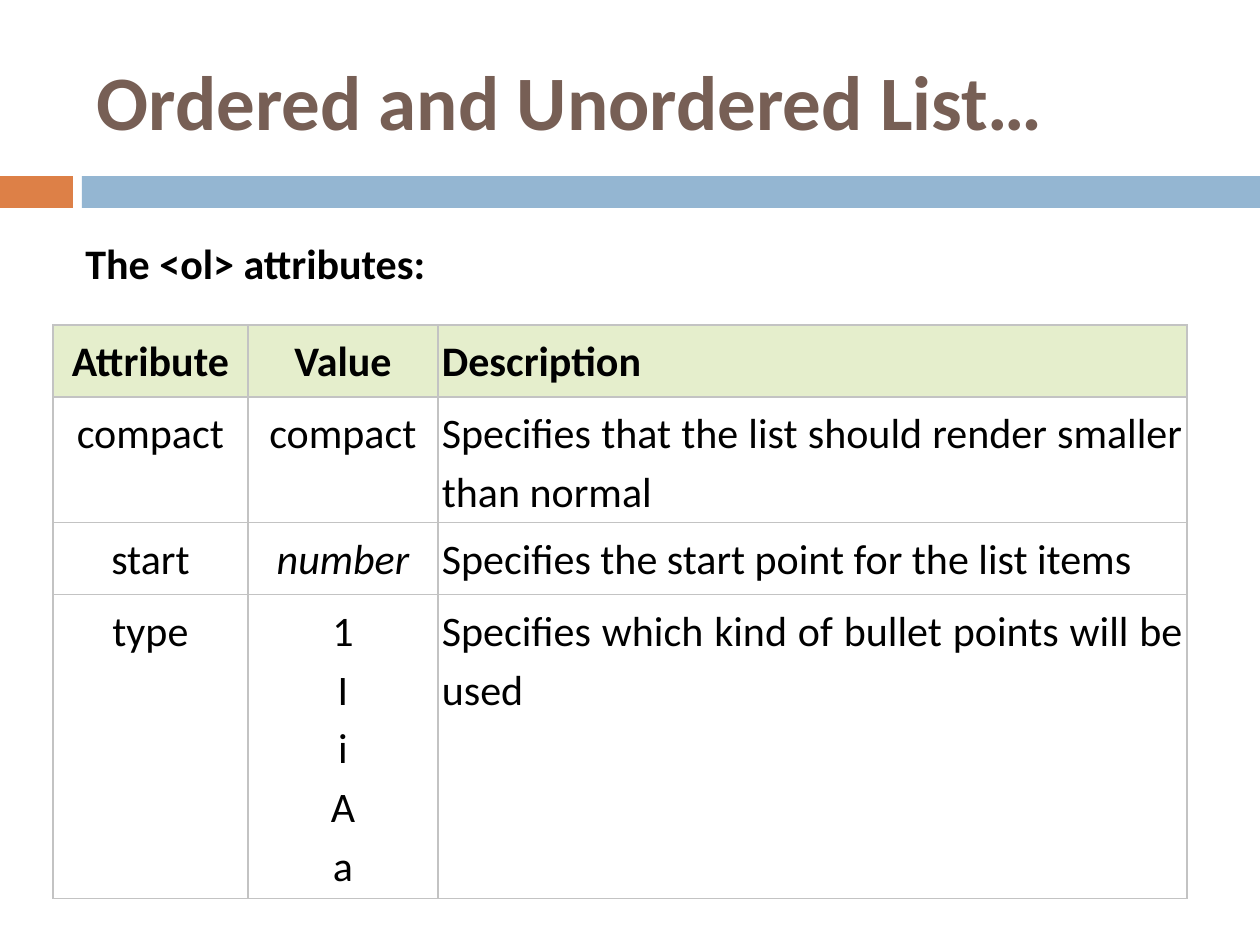
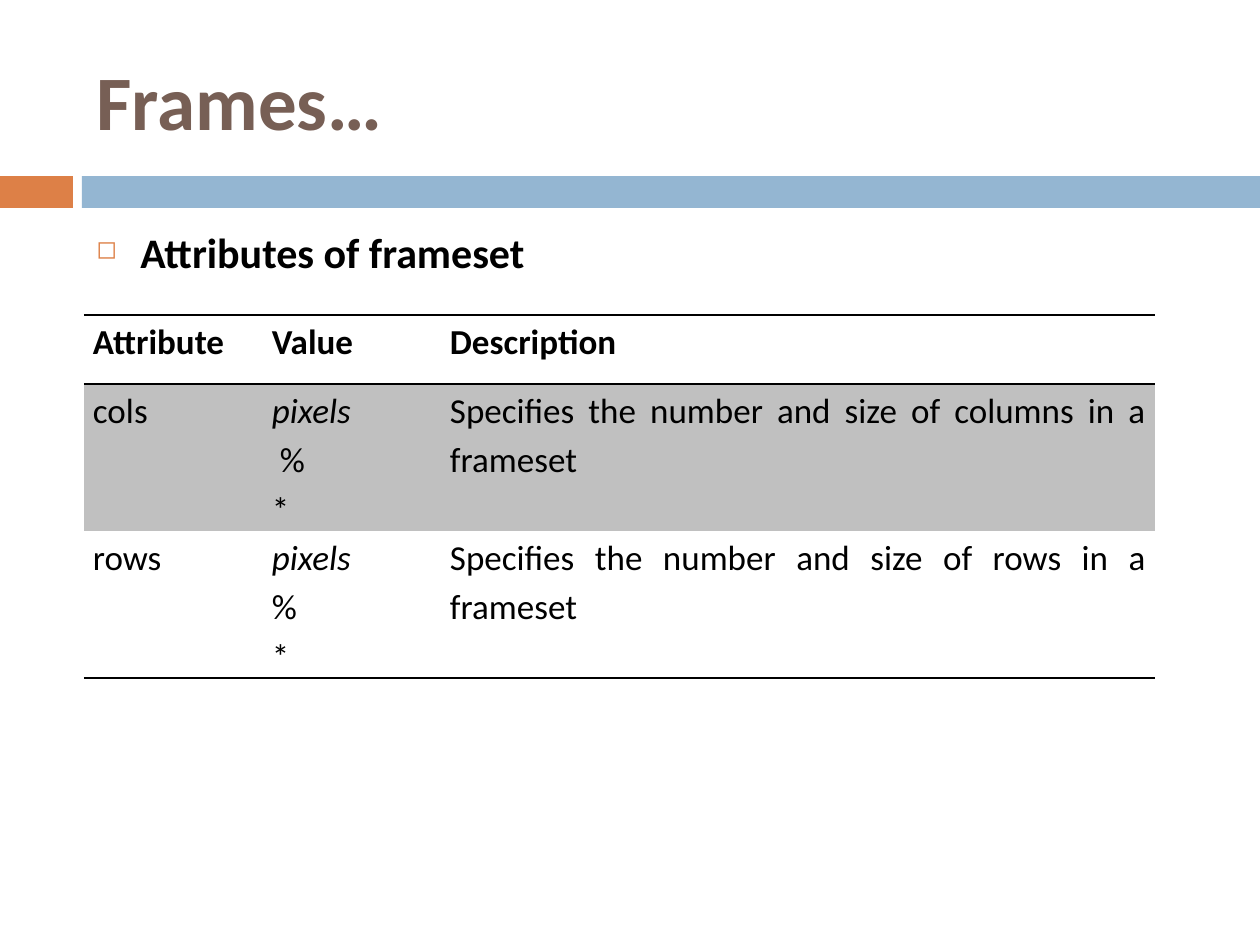
from lxml.etree import SubElement
from pptx import Presentation
from pptx.dml.color import RGBColor
from pptx.enum.shapes import MSO_SHAPE
from pptx.enum.text import MSO_ANCHOR, PP_ALIGN
from pptx.oxml.ns import qn
from pptx.util import Emu, Pt

FONT = "Calibri"
ORANGE = RGBColor(0xDD, 0x80, 0x47)
BLUE = RGBColor(0x94, 0xB6, 0xD2)
BROWN = RGBColor(0x77, 0x5F, 0x55)
BLACK = RGBColor(0, 0, 0)
LIGHT_GREEN = RGBColor(0xE5, 0xEE, 0xCC)
LIGHT_GREY = RGBColor(0xC3, 0xC3, 0xC3)
SILVER = RGBColor(0xC0, 0xC0, 0xC0)

PAGE_WIDTH, PAGE_HEIGHT = 1260, 945
BAND_TOP, BAND_HEIGHT = 176, 32
BANDS = ((0, 73, ORANGE), (82, PAGE_WIDTH - 82, BLUE))
TITLE_BOX = (84, 32, 1124, 136)
ITALIC_WORDS = {"number", "pixels"}
HEADINGS = ("Attribute", "Value", "Description")
EDGES = "LRTB"

LIST_ROWS = (
    HEADINGS,
    ("compact", "compact", "Specifies that the list should render smaller than normal"),
    ("start", "number", "Specifies the start point for the list items"),
    ("type", ("1\nI\ni", "A\na"), "Specifies which kind of bullet points will be used"),
)
FRAMESET_ROWS = (
    HEADINGS,
    ("cols", ("pixels", " %", "*"), "Specifies the number and size of columns in a frameset"),
    ("rows", ("pixels", "%", "*"), "Specifies the number and size of rows in a frameset"),
)


def px(length):
    """Turn pixels into EMU at 126 pixels to the inch."""
    return Emu(round(length * 914400 / 126))


def place(box):
    """Turn a pixel box into EMU lengths."""
    return [px(length) for length in box]


def format_para(para, size, color=BLACK, bold=False, italic=False):
    """Give every run of a paragraph the same look."""
    for span in para.runs:
        span.font.name = FONT
        span.font.size = Pt(size)
        span.font.bold = bold
        span.font.italic = italic
        span.font.color.rgb = color


def add_page(deck, title):
    """Add a page with the shared title style and bands."""
    page = deck.slides.add_slide(deck.slide_layouts[5])
    for left, width, color in BANDS:
        band = page.shapes.add_shape(
            MSO_SHAPE.RECTANGLE, *place((left, BAND_TOP, width, BAND_HEIGHT)))
        band.shadow.inherit = False
        band.fill.solid()
        band.fill.fore_color.rgb = color
        band.line.fill.background()
    heading = page.shapes.title
    heading.left, heading.top, heading.width, heading.height = place(TITLE_BOX)
    frame = heading.text_frame
    frame.text = title
    frame.vertical_anchor = MSO_ANCHOR.MIDDLE
    frame.paragraphs[0].alignment = PP_ALIGN.LEFT
    format_para(frame.paragraphs[0], 44, BROWN, bold=True)
    return page


def add_subheading(page, box, text, anchor):
    """Add a bold line above a table and return its paragraph."""
    frame = page.shapes.add_textbox(*place(box)).text_frame
    frame.word_wrap = True
    frame.vertical_anchor = anchor
    frame.text = text
    format_para(frame.paragraphs[0], 24, bold=True)
    return frame.paragraphs[0]


def add_bullet(para):
    """Give a paragraph a small orange square bullet with a hanging indent."""
    para.space_before = Pt(7)
    props = para._p.get_or_add_pPr()
    props.set("marL", str(px(44)))
    props.set("indent", str(-px(44)))
    color = SubElement(props, qn("a:buClr"))
    SubElement(color, qn("a:srgbClr"), val=str(ORANGE))
    SubElement(props, qn("a:buSzPct"), val="60000")
    SubElement(props, qn("a:buChar"), char="◻")


def set_borders(cell, edges, color):
    """Draw one-point borders on the named edges and clear the others."""
    props = cell._tc.get_or_add_tcPr()
    for edge in EDGES:
        line = SubElement(props, qn(f"a:ln{edge}"), w=str(Pt(1)))
        if edge in edges:
            fill = SubElement(line, qn("a:solidFill"))
            SubElement(fill, qn("a:srgbClr"), val=str(color))
        else:
            SubElement(line, qn("a:noFill"))


def fill_cell(cell, content, size, alignment, bold):
    """Write one paragraph, or several, into a cell."""
    frame = cell.text_frame
    texts = (content,) if isinstance(content, str) else content
    for index, text in enumerate(texts):
        para = frame.add_paragraph() if index else frame.paragraphs[0]
        para.text = text
        para.alignment = alignment
        para.line_spacing = 1.15
        format_para(para, size, bold=bold, italic=text in ITALIC_WORDS)


def add_attribute_table(page, corner, widths, heights, rows, size, alignments,
                        margins, fills, row_edges, border_color):
    """Add a table whose rows carry their own fill and border edges."""
    box = (*corner, sum(widths), sum(heights))
    table = page.shapes.add_table(len(rows), len(widths), *place(box)).table
    table.first_row = table.horz_banding = False
    for column, width in zip(table.columns, widths):
        column.width = px(width)
    for row, height in zip(table.rows, heights):
        row.height = px(height)
    for row_index, contents in enumerate(rows):
        for column_index, content in enumerate(contents):
            cell = table.cell(row_index, column_index)
            cell.margin_left = cell.margin_right = px(margins[0])
            cell.margin_top = cell.margin_bottom = px(margins[1])
            set_borders(cell, row_edges[row_index], border_color)
            if fills[row_index] is None:
                cell.fill.background()
            else:
                cell.fill.solid()
                cell.fill.fore_color.rgb = fills[row_index]
            fill_cell(cell, content, size, alignments[column_index], row_index == 0)


def add_list_page(deck):
    """Add the page on the attributes of ordered lists."""
    page = add_page(deck, "Ordered and Unordered List…")
    add_attribute_table(
        page, (53, 325), (195, 190, 749), (72, 124, 72, 304), LIST_ROWS, 24,
        (PP_ALIGN.CENTER, PP_ALIGN.CENTER, PP_ALIGN.JUSTIFY), (4, 4),
        (LIGHT_GREEN, None, None, None), [EDGES] * 4, LIGHT_GREY)
    add_subheading(page, (73, 231, 536, 63), "The <ol> attributes:", MSO_ANCHOR.MIDDLE)


def add_frames_page(deck):
    """Add the page on the attributes of framesets."""
    page = add_page(deck, "Frames…")
    para = add_subheading(
        page, (84, 220, 1124, 725), "Attributes of frameset", MSO_ANCHOR.TOP)
    add_bullet(para)
    add_attribute_table(
        page, (84, 315), (179, 178, 714), (69, 147, 147), FRAMESET_ROWS, 20,
        [PP_ALIGN.JUSTIFY] * 3, (9, 0), (None, SILVER, None),
        ("TB", "T", "B"), BLACK)


def main():
    """Build and save the deck."""
    deck = Presentation()
    deck.slide_width, deck.slide_height = px(PAGE_WIDTH), px(PAGE_HEIGHT)
    add_list_page(deck)
    add_frames_page(deck)
    deck.save("out.pptx")


if __name__ == "__main__":
    main()
